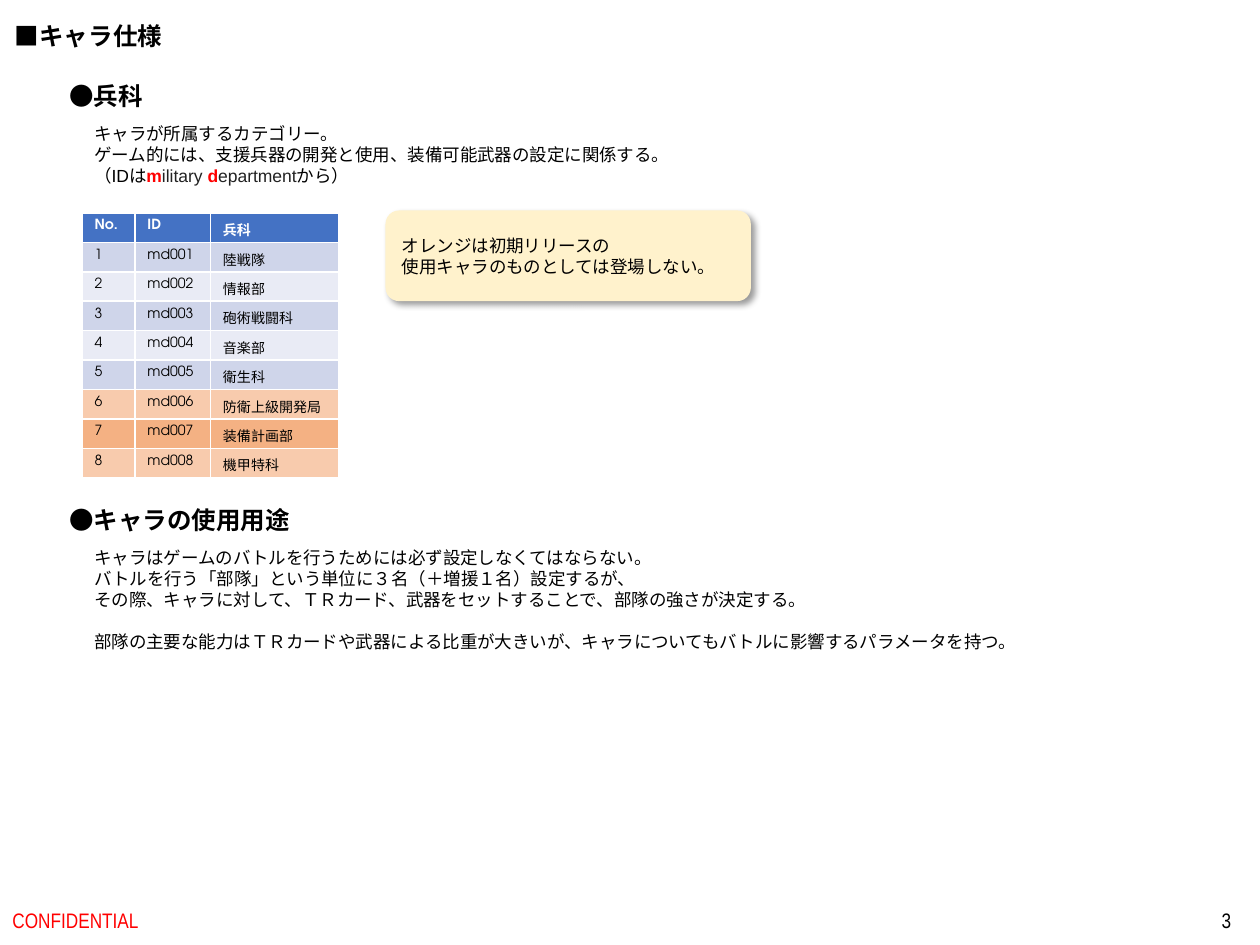
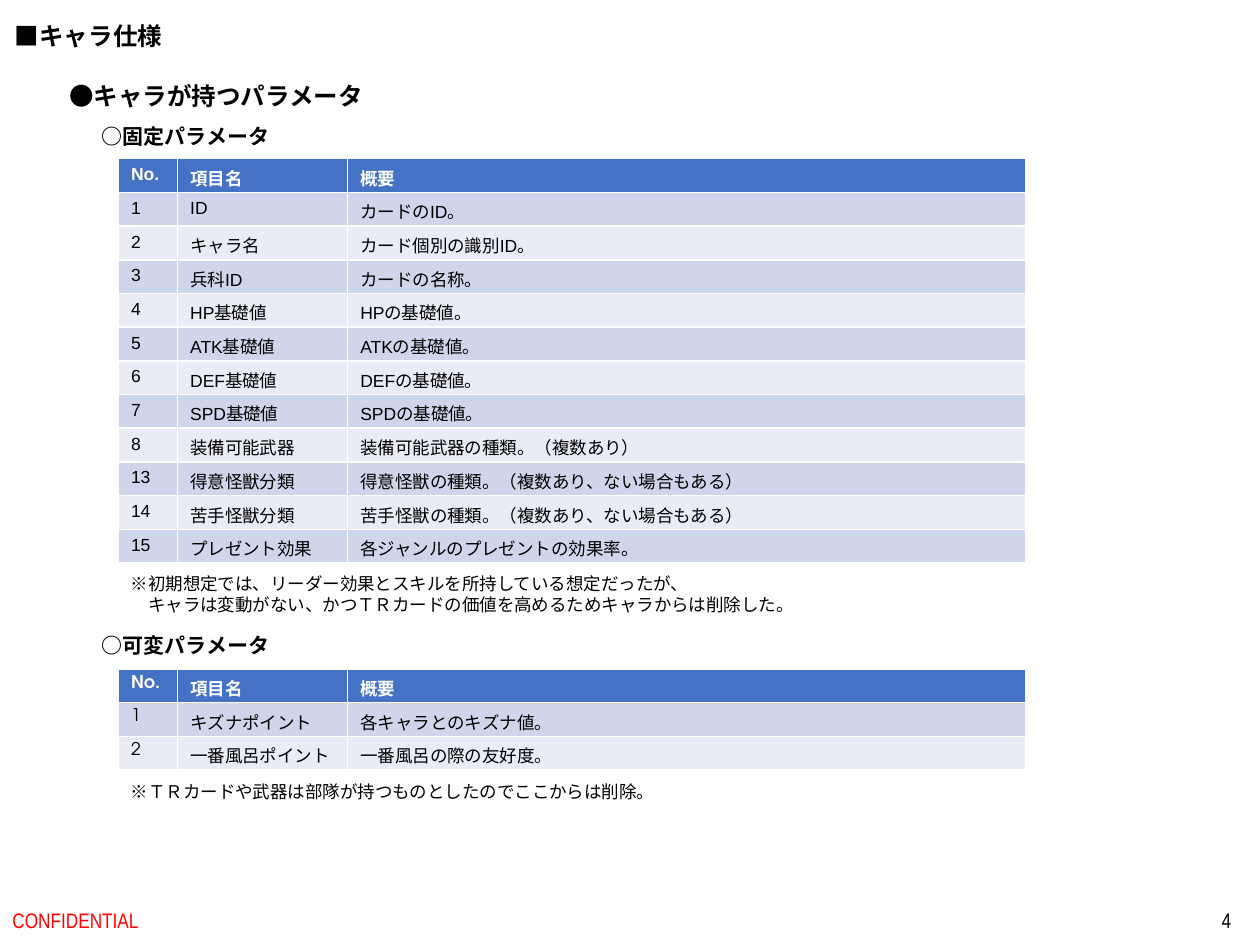
from lxml.etree import SubElement
from pptx import Presentation
from pptx.dml.color import RGBColor
from pptx.enum.shapes import MSO_SHAPE
from pptx.enum.text import MSO_ANCHOR, MSO_AUTO_SIZE, PP_ALIGN
from pptx.oxml.ns import qn
from pptx.util import Inches, Pt

BLACK = RGBColor(0x00, 0x00, 0x00)
WHITE = RGBColor(0xFF, 0xFF, 0xFF)
RED = RGBColor(0xFF, 0x00, 0x00)
DARK_GRAY = RGBColor(0x22, 0x22, 0x22)
CREAM = RGBColor(0xFF, 0xF2, 0xCC)
HEADER_BLUE = RGBColor(0x44, 0x72, 0xC4)
BLUE_BANDS = RGBColor(0xE9, 0xEB, 0xF5), RGBColor(0xCF, 0xD5, 0xEA)
ORANGE_BANDS = RGBColor(0xF8, 0xCB, 0xAD), RGBColor(0xF4, 0xB1, 0x83)

BODY = "Arial"
DISPLAY = "TeX Gyre Adventor"
FOOTER = "Arial Narrow"

DEPARTMENTS = ["陸戦隊", "情報部", "砲術戦闘科", "音楽部", "衛生科",
               "防衛上級開発局", "装備計画部", "機甲特科"]
FIXED_PARAMETERS = [
    ("1", "ID", "カードのID。"),
    ("2", "キャラ名", "カード個別の識別ID。"),
    ("3", "兵科ID", "カードの名称。"),
    *[(str(no), f"{stat}基礎値", f"{stat}の基礎値。")
      for no, stat in enumerate(["HP", "ATK", "DEF", "SPD"], 4)],
    ("8", "装備可能武器", "装備可能武器の種類。（複数あり）"),
    ("13", "得意怪獣分類", "得意怪獣の種類。（複数あり、ない場合もある）"),
    ("14", "苦手怪獣分類", "苦手怪獣の種類。（複数あり、ない場合もある）"),
    ("15", "プレゼント効果", "各ジャンルのプレゼントの効果率。"),
]
VARIABLE_PARAMETERS = [
    ("1", "キズナポイント", "各キャラとのキズナ値。"),
    ("2", "一番風呂ポイント", "一番風呂の際の友好度。"),
]
PARAMETER_HEADER = ("No.", "項目名", "概要")
PARAMETER_COLS = (0.47, 1.35, 5.38)


class Deck:
    """Holds the shared style and the slide being built."""

    def __init__(self):
        self.prs = Presentation()
        self.prs.slide_width = Inches(10)
        self.prs.slide_height = Inches(7.5)
        self.s = None

    def slide(self, number):
        self.s = self.prs.slides.add_slide(self.prs.slide_layouts[6])
        self.text(0.02, 0.12, 1.38, 0.34, ["■キャラ仕様"], 14, bold=True)
        self.footer(0, 3.38, "CONFIDENTIAL", RED, PP_ALIGN.LEFT)
        self.footer(7.62, 2.25, str(number), BLACK, PP_ALIGN.RIGHT)

    def style(self, p, size, font=BODY, color=BLACK, bold=False):
        p.font.size = Pt(size)
        p.font.name = font
        p.font.bold = bold
        p.font.color.rgb = color

    def fill_lines(self, tf, lines, size, font=BODY, bold=False):
        for i, line in enumerate(lines):
            p = tf.add_paragraph() if i else tf.paragraphs[0]
            if isinstance(line, str):
                p.text = line
                self.style(p, size, font, bold=bold)
                continue
            p.font.size, p.font.name = Pt(size), font
            for text, color, run_bold in line:
                r = p.add_run()
                r.text = text
                r.font.color.rgb = color
                r.font.bold = run_bold

    def text(self, x, y, w, h, lines, size=10, font=BODY, bold=False):
        tb = self.s.shapes.add_textbox(Inches(x), Inches(y), Inches(w), Inches(h))
        tf = tb.text_frame
        tf.word_wrap = False
        tf.auto_size = MSO_AUTO_SIZE.SHAPE_TO_FIT_TEXT
        self.fill_lines(tf, lines, size, font, bold)
        return tf

    def heading(self, y, w, text):
        self.text(0.45, y, w, 0.34, [text], 14, DISPLAY, True)

    def subheading(self, y, text):
        self.text(0.71, y, 1.55, 0.3, [text], 12, DISPLAY, True)

    def footer(self, x, w, text, color, align):
        tb = self.s.shapes.add_textbox(Inches(x), Inches(7.1), Inches(w), Inches(0.4))
        tf = tb.text_frame
        tf.word_wrap = True
        tf.vertical_anchor = MSO_ANCHOR.MIDDLE
        p = tf.paragraphs[0]
        p.text = text
        p.alignment = align
        self.style(p, 12, FOOTER, color)

    def callout(self, x, y, w, h, lines):
        sp = self.s.shapes.add_shape(MSO_SHAPE.ROUNDED_RECTANGLE, Inches(x),
                                     Inches(y), Inches(w), Inches(h))
        sp.adjustments[0] = 0.15
        sp.fill.solid()
        sp.fill.fore_color.rgb = CREAM
        sp.line.fill.background()
        sp.shadow.inherit = False
        effects = sp._element.spPr.find(qn("a:effectLst"))
        shadow = SubElement(effects, qn("a:outerShdw"), blurRad=str(Pt(4)),
                            dist=str(Pt(3)), dir=str(45 * 60000), algn="tl",
                            rotWithShape="0")
        color = SubElement(shadow, qn("a:srgbClr"), val="000000")
        SubElement(color, qn("a:alpha"), val="40000")
        tf = sp.text_frame
        tf.word_wrap = True
        tf.vertical_anchor = MSO_ANCHOR.MIDDLE
        self.fill_lines(tf, lines, 10, DISPLAY)
        for p in tf.paragraphs:
            p.alignment = PP_ALIGN.LEFT

    def table(self, x, y, h, cols, rows, size, font, orange_from=None):
        frame = self.s.shapes.add_table(len(rows), len(cols), Inches(x), Inches(y),
                                        Inches(sum(cols)), Inches(h))
        table = frame.table
        for column, width in zip(table.columns, cols):
            column.width = Inches(width)
        for i, row in enumerate(rows):
            bands = ORANGE_BANDS if orange_from and i >= orange_from else BLUE_BANDS
            for j, value in enumerate(row):
                cell = table.cell(i, j)
                cell.fill.solid()
                cell.fill.fore_color.rgb = bands[i % 2] if i else HEADER_BLUE
                p = cell.text_frame.paragraphs[0]
                p.text = value
                self.style(p, size, font, BLACK if i else WHITE, i == 0)


def departments_slide(deck):
    deck.slide(3)
    deck.heading(0.59, 0.79, "●兵科")
    deck.text(0.65, 0.93, 4.83, 0.61, [
        "キャラが所属するカテゴリー。",
        "ゲーム的には、支援兵器の開発と使用、装備可能武器の設定に関係する。",
        [("（IDは", BLACK, False), ("m", RED, True), ("ilitary ", DARK_GRAY, False),
         ("d", RED, True), ("epartment", DARK_GRAY, False), ("から）", BLACK, False)],
    ])
    rows = [(str(no), f"md{no:03}", name) for no, name in enumerate(DEPARTMENTS, 1)]
    deck.table(0.65, 1.69, 2.1, (0.42, 0.6, 1.02), [("No.", "ID", "兵科"), *rows],
               8, DISPLAY, orange_from=6)
    deck.callout(3.06, 1.67, 2.9, 0.72, [
        "オレンジは初期リリースの",
        "使用キャラのものとしては登場しない。",
    ])
    deck.heading(3.96, 1.97, "●キャラの使用用途")
    tf = deck.text(0.65, 4.29, 7.63, 0.94, [
        "キャラはゲームのバトルを行うためには必ず設定しなくてはならない。",
        "バトルを行う「部隊」という単位に３名（＋増援１名）設定するが、",
        "その際、キャラに対して、ＴＲカード、武器をセットすることで、部隊の強さが決定する。",
        "部隊の主要な能力はＴＲカードや武器による比重が大きいが、"
        "キャラについてもバトルに影響するパラメータを持つ。",
    ])
    tf.paragraphs[-1].space_before = Pt(12)


def parameters_slide(deck):
    deck.slide(4)
    deck.heading(0.59, 2.56, "●キャラが持つパラメータ")
    deck.subheading(0.93, "○固定パラメータ")
    deck.table(0.94, 1.26, 3.2, PARAMETER_COLS,
               [PARAMETER_HEADER, *FIXED_PARAMETERS], 10, BODY)
    deck.text(0.94, 4.5, 5.53, 0.44, [
        "※初期想定では、リーダー効果とスキルを所持している想定だったが、",
        "　キャラは変動がない、かつＴＲカードの価値を高めるためキャラからは削除した。",
    ])
    deck.subheading(4.97, "○可変パラメータ")
    deck.table(0.94, 5.31, 0.8, PARAMETER_COLS,
               [PARAMETER_HEADER, *VARIABLE_PARAMETERS], 10, DISPLAY)
    deck.text(0.94, 6.15, 4.41, 0.27,
              ["※ＴＲカードや武器は部隊が持つものとしたのでここからは削除。"])


def main():
    deck = Deck()
    departments_slide(deck)
    parameters_slide(deck)
    deck.prs.save("out.pptx")


if __name__ == "__main__":
    main()
